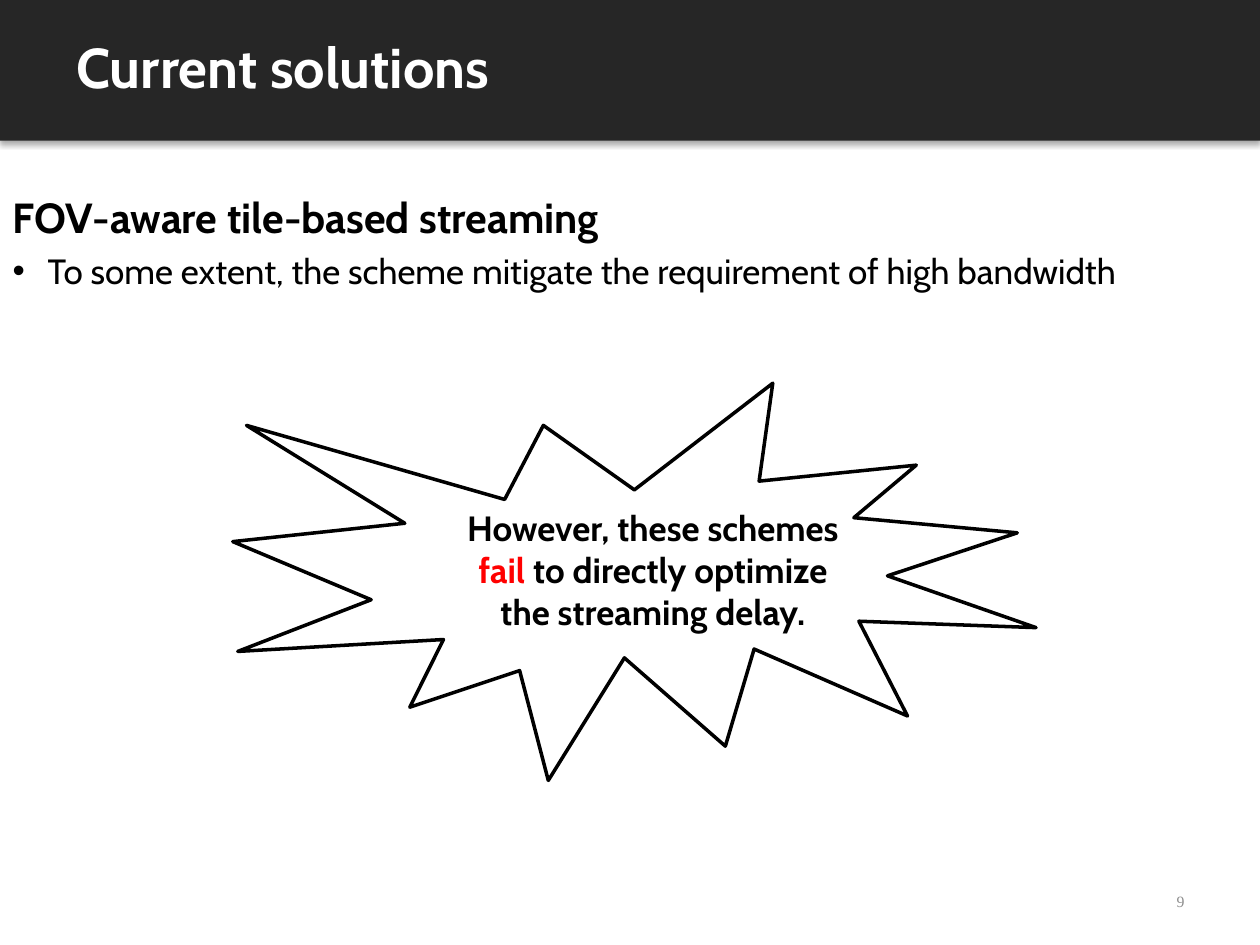
from dataclasses import dataclass
from lxml.etree import SubElement
from pptx import Presentation
from pptx.dml.color import RGBColor
from pptx.enum.shapes import MSO_SHAPE as Shape
from pptx.enum.text import MSO_ANCHOR as Anchor, MSO_AUTO_SIZE as Fit, PP_ALIGN as Align
from pptx.oxml.ns import qn
from pptx.util import Pt


@dataclass
class Span:
    text: str
    size: float
    color: str = "000000"
    bold: bool = True
    font: str = "Cabin"


def tint(code: str) -> RGBColor:
    return RGBColor.from_string(code)


def place(shape, left: float, top: float, width: float, height: float) -> None:
    shape.left, shape.top = Pt(left), Pt(top)
    shape.width, shape.height = Pt(width), Pt(height)


def setup(shape, anchor: Anchor):
    """Prepare the text frame and return it."""
    frame = shape.text_frame
    frame.word_wrap = True
    frame.auto_size = Fit.NONE
    frame.vertical_anchor = anchor
    return frame


def write(para, spans: list[Span], align: Align = Align.LEFT, before: float = 0) -> None:
    para.alignment = align
    para.space_before = Pt(before)
    for span in spans:
        run = para.add_run()
        run.text = span.text
        font = run.font
        font.name, font.size, font.bold = span.font, Pt(span.size), span.bold
        font.color.rgb = tint(span.color)


def indent(para, left: float, first: float, mark: str = "") -> None:
    props = para._p.get_or_add_pPr()
    props.set("marL", str(Pt(left)))
    props.set("indent", str(Pt(first)))
    if mark:
        SubElement(props, qn("a:buFont"), typeface="Arial")
        SubElement(props, qn("a:buChar"), char=mark)
    else:
        SubElement(props, qn("a:buNone"))


def shade(shape, blur: float, dist: float, alpha: int) -> None:
    """Cast a soft black shadow straight down."""
    shape.shadow.inherit = False
    list_ = shape._element.spPr.find(qn("a:effectLst"))
    outer = SubElement(list_, qn("a:outerShdw"), blurRad=str(Pt(blur)),
                       dist=str(Pt(dist)), dir="5400000", rotWithShape="0")
    color = SubElement(outer, qn("a:srgbClr"), val="000000")
    SubElement(color, qn("a:alpha"), val=str(alpha * 1000))


def main() -> None:
    deck = Presentation()
    deck.slide_width, deck.slide_height = Pt(720), Pt(540)
    slide = deck.slides.add_slide(deck.slide_layouts[1])
    shapes = slide.shapes
    title, body = shapes.title, slide.placeholders[1]

    # Header band, sent behind the title
    band = shapes.add_shape(Shape.RECTANGLE, Pt(0), Pt(-2), Pt(720), Pt(82.5))
    band.fill.solid()
    band.fill.fore_color.rgb = tint("262626")
    band.line.fill.background()
    shade(band, 3.1, 1.8, 35)
    title._element.addprevious(band._element)

    # Title
    place(title, 36.5, 15, 317, 46)
    frame = setup(title, Anchor.TOP)
    write(frame.paragraphs[0], [Span("Current solutions", 32, "FFFFFF")])

    # Heading and bullet
    place(body, 0, 106, 683.5, 348)
    frame = setup(body, Anchor.TOP)
    head, item = frame.paragraphs[0], frame.add_paragraph()
    write(head, [Span("FOV-aware tile-based streaming", 24)], before=4.8)
    indent(head, 0, 0)
    text = "To some extent, the scheme mitigate the requirement of high bandwidth"
    write(item, [Span(text, 20, bold=False)], before=4)
    indent(item, 20, -20, "•")

    # Burst with the main message
    burst = shapes.add_shape(Shape.EXPLOSION1, Pt(133), Pt(219), Pt(459), Pt(227))
    burst.shadow.inherit = False
    burst.fill.background()
    burst.line.color.rgb = tint("000000")
    burst.line.width = Pt(2)
    para = setup(burst, Anchor.MIDDLE).paragraphs[0]
    write(para, [Span("However, these schemes ", 20), Span("fail", 20, "FF0000"),
                 Span(" to directly optimize the streaming delay.", 20)], Align.CENTER)
    indent(para, 27, 0)

    # Page number
    page = shapes.add_textbox(Pt(516), Pt(500.5), Pt(168), Pt(28.5))
    para = setup(page, Anchor.MIDDLE).paragraphs[0]
    write(para, [Span("9", 9, "8C8C8C", False, "Times New Roman")], Align.RIGHT)

    deck.save("out.pptx")


if __name__ == "__main__":
    main()
